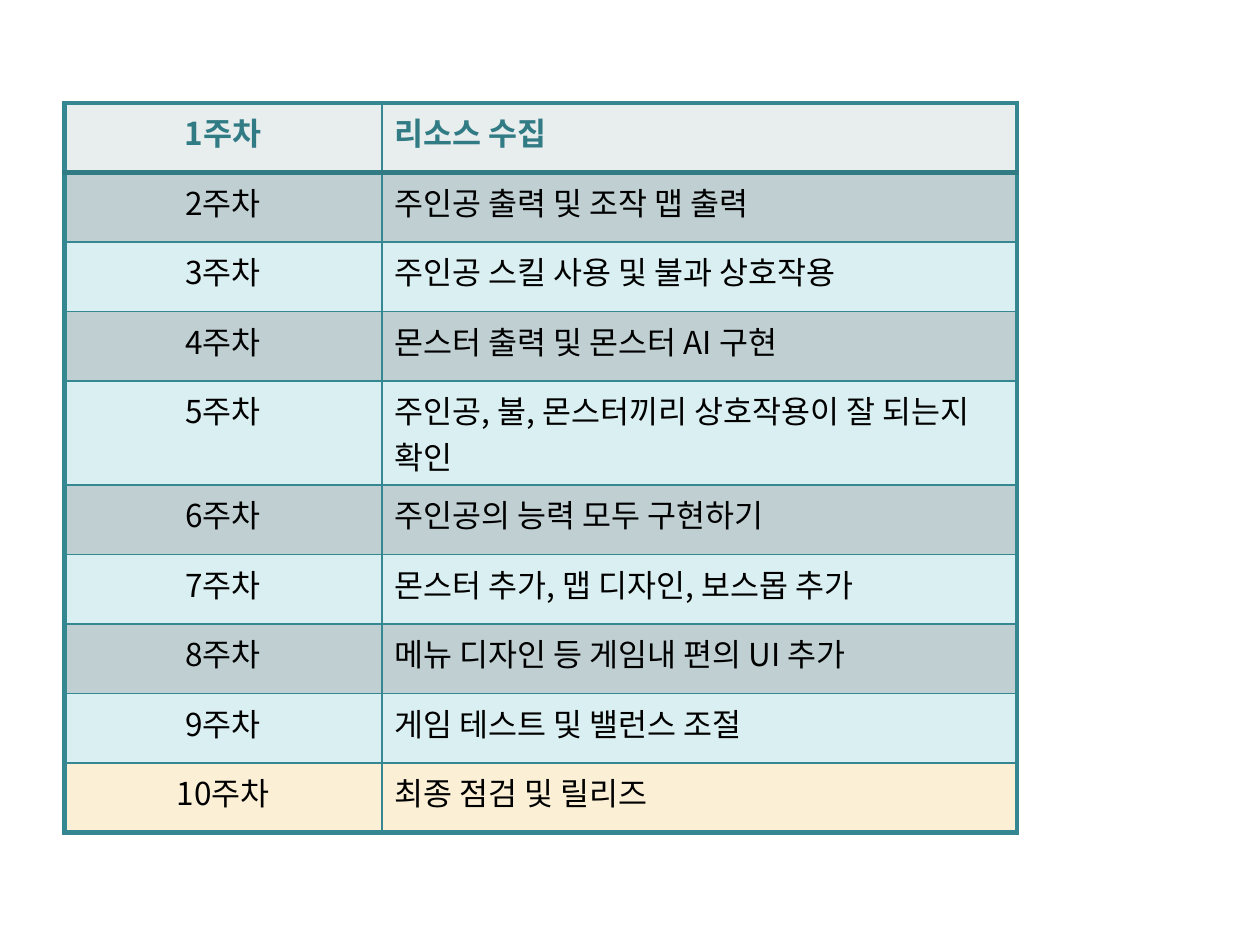
from lxml.etree import SubElement
from pptx import Presentation
from pptx.dml.color import RGBColor
from pptx.enum.text import PP_ALIGN
from pptx.oxml.ns import qn
from pptx.util import Emu, Pt

PX_PER_INCH = 252
FONT = "Noto Sans CJK KR"
TEAL, DARK_TEAL, BLACK = "358791", "307B84", "000000"
HEADER_FILL, GREY_FILL, AQUA_FILL, FINAL_FILL = "E8EDEE", "BFCFD2", "DAEFF1", "FBEFD5"
THIN, HEADER_RULE, FRAME = 1, 2.79, 3.15

SCHEDULE = [
    "리소스 수집",
    "주인공 출력 및 조작 맵 출력",
    "주인공 스킬 사용 및 불과 상호작용",
    "몬스터 출력 및 몬스터 AI 구현",
    "주인공, 불, 몬스터끼리 상호작용이 잘 되는지 확인",
    "주인공의 능력 모두 구현하기",
    "몬스터 추가, 맵 디자인, 보스몹 추가",
    "메뉴 디자인 등 게임내 편의 UI 추가",
    "게임 테스트 및 밸런스 조절",
    "최종 점검 및 릴리즈",
]
COLUMN_WIDTHS = [635, 1270]
ROW_HEIGHT, TALL_ROW_HEIGHT, TALL_ROW = 139, 184, 4


def px(length):
    return Emu(round(length * 914400 / PX_PER_INCH))


def color(value):
    return RGBColor.from_string(value)


class ScheduleSlide:
    def __init__(self, deck):
        self.slide = deck.slides.add_slide(deck.slide_layouts[6])

    def table(self, left, top, widths, heights):
        frame = self.slide.shapes.add_table(
            len(heights), len(widths), px(left), px(top), px(sum(widths)), px(sum(heights)))
        table = frame.table
        for column, width in zip(table.columns, widths):
            column.width = px(width)
        for row, height in zip(table.rows, heights):
            row.height = px(height)
        return table

    def borders(self, cell, **sides):
        properties = cell._tc.get_or_add_tcPr()
        for side in "LRTB":
            line_color, width = sides[side]
            line = SubElement(properties, qn(f"a:ln{side}"), w=str(Pt(width)))
            fill = SubElement(line, qn("a:solidFill"))
            SubElement(fill, qn("a:srgbClr"), val=line_color)

    def cell(self, cell, text, fill, text_color, bold, align):
        cell.fill.solid()
        cell.fill.fore_color.rgb = color(fill)
        cell.text_frame.text = text
        para = cell.text_frame.paragraphs[0]
        para.alignment = align
        font = para.runs[0].font
        font.name, font.size, font.bold = FONT, Pt(18), bold
        font.color.rgb = color(text_color)
        SubElement(font._element, qn("a:ea"), typeface=FONT)


def main():
    deck = Presentation()
    deck.slide_width, deck.slide_height = px(2520), px(1890)
    page = ScheduleSlide(deck)

    # Weekly schedule grid
    last = len(SCHEDULE) - 1
    heights = [TALL_ROW_HEIGHT if row == TALL_ROW else ROW_HEIGHT for row in range(last + 1)]
    table = page.table(129, 206, COLUMN_WIDTHS, heights)
    header_rule, thin, frame = (DARK_TEAL, HEADER_RULE), (TEAL, THIN), (TEAL, FRAME)

    for row, task in enumerate(SCHEDULE):
        # Alternating fills between the header and the final week
        header = row == 0
        fill = GREY_FILL if row % 2 else AQUA_FILL
        fill = {0: HEADER_FILL, last: FINAL_FILL}.get(row, fill)
        top = {0: frame, 1: header_rule}.get(row, thin)
        bottom = {0: header_rule, last: frame}.get(row, thin)

        # Week number and its task
        for column, text in enumerate([f"{row + 1}주차", task]):
            cell = table.cell(row, column)
            page.borders(cell, L=thin if column else frame, R=frame if column else thin,
                         T=top, B=bottom)
            page.cell(cell, text, fill, DARK_TEAL if header else BLACK, header,
                      PP_ALIGN.LEFT if column else PP_ALIGN.CENTER)

    deck.save("out.pptx")


if __name__ == "__main__":
    main()
